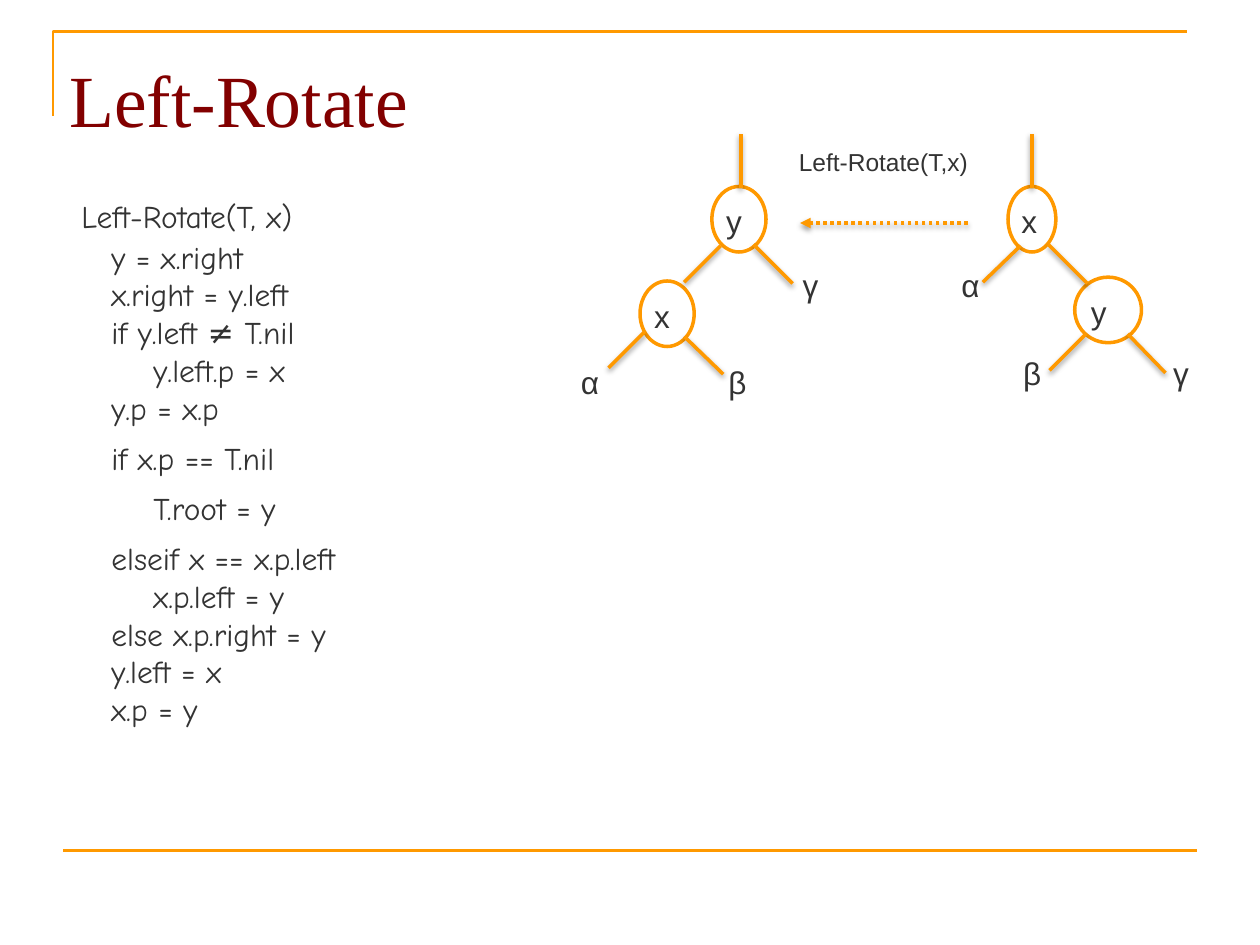
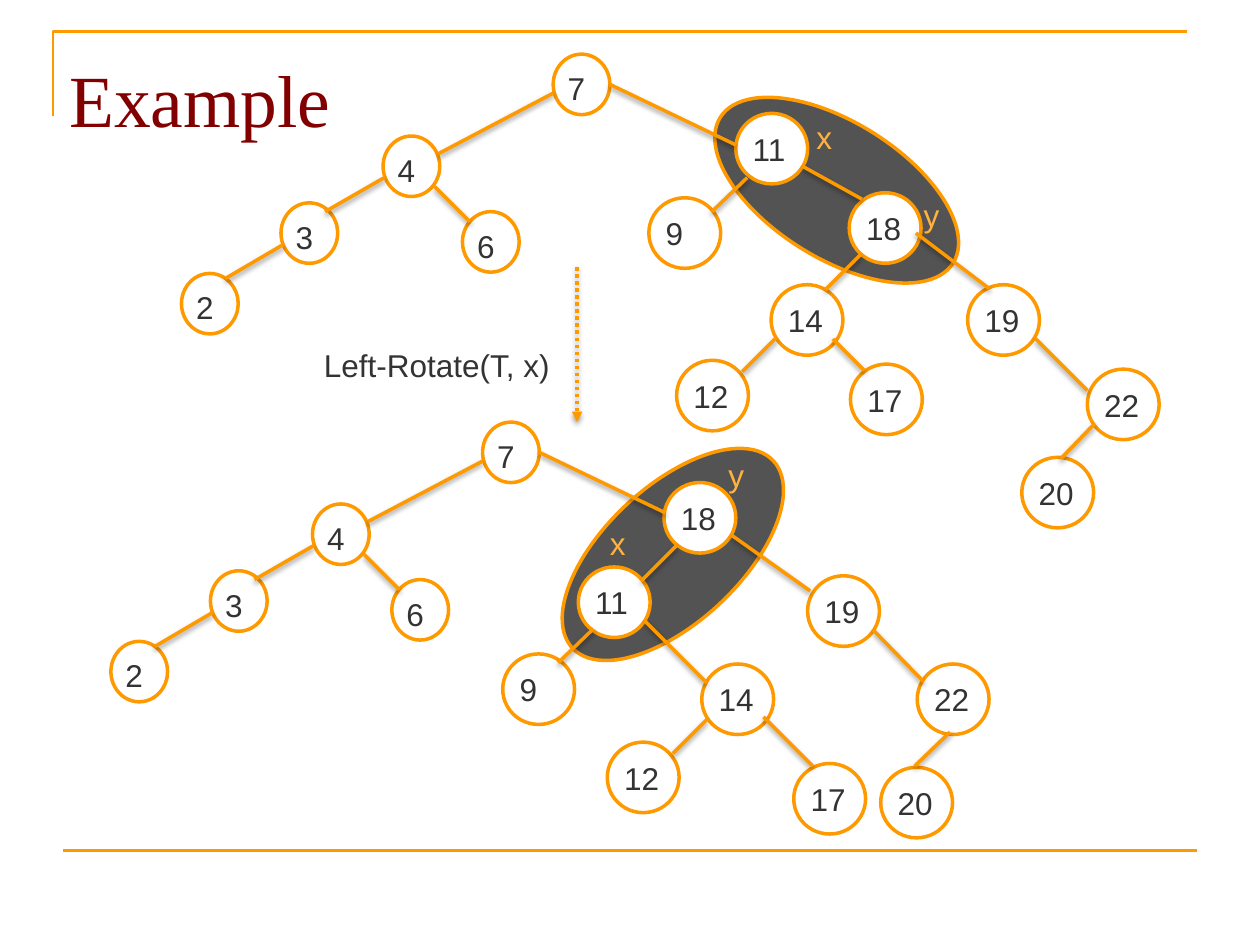
from lxml.etree import SubElement as Sub
from pptx import Presentation
from pptx.dml.color import RGBColor as RGB
from pptx.enum.dml import MSO_LINE as Dash
from pptx.enum.shapes import MSO_CONNECTOR as Conn, MSO_SHAPE as Shape
from pptx.enum.text import MSO_ANCHOR as Anchor, MSO_AUTO_SIZE as Fit, PP_ALIGN as Align
from pptx.oxml.ns import qn
from pptx.util import Cm, Pt

ORANGE, AMBER = "FF9900", "FFB240"
MAROON, INK, SHADE, WHITE = "820000", "333333", "535353", "FFFFFF"
SANS, SERIF, HAND = "Arial", "Times New Roman", "Comic Neue"
SMALL, LARGE = (0.45, 0.48), (0.57, 0.56)  # node sizes on the example slide

CODE = [
    ["Left-Rotate(T, x)", "    y = x.right", "    x.right = y.left",
     "    if y.left ≠ T.nil", "        y.left.p = x", "    y.p = x.p"],
    ["    if x.p == T.nil"],
    ["        T.root = y"],
    ["    elseif x == x.p.left", "        x.p.left = y",
     "    else x.p.right = y", "    y.left = x", "    x.p = y"],
]

# Rotation diagram: label, left, top, width
PAIRS = [("y", 5.65, 1.48, 0.43), ("x", 5.08, 2.23, 0.43),
         ("x", 8, 1.48, 0.38), ("y", 8.53, 2.2, 0.53)]
LINKS = [(5.43, 2.24, 5.72, 1.95), (4.83, 2.92, 5.12, 2.63), (5.98, 1.94, 6.29, 2.25),
         (5.43, 2.67, 5.74, 2.97), (5.88, 1.49, 5.88, 1.06), (8.19, 1.49, 8.19, 1.06),
         (7.8, 2.24, 8.1, 1.95), (8.33, 2.94, 8.62, 2.65), (8.32, 1.94, 8.63, 2.25),
         (8.95, 2.65, 9.25, 2.96)]
GREEK = [("α", 4.56, 2.83), ("β", 5.73, 2.83), ("γ", 6.32, 2.06),
         ("α", 7.58, 2.06), ("β", 8.07, 2.76), ("γ", 9.26, 2.76)]

# Left half of the example tree, the same before and after rotation
LEFT = [("7", 4.39, 0.43), ("4", 3.04, 1.08), ("6", 3.67, 1.68),
        ("3", 2.23, 1.61), ("2", 1.44, 2.17)]
BONDS = [(3.48, 1.22, 4.39, 0.74), (2.58, 1.68, 3.05, 1.41), (1.79, 2.21, 2.25, 1.94),
         (3.73, 1.76, 3.45, 1.48), (4.84, 0.67, 5.84, 1.15)]
SHIFT = (-0.56, 2.92)

# Right half, before and after
BEFORE = [("11", 5.84, 0.9), ("9", 5.15, 1.57), ("18", 6.74, 1.53), ("14", 6.12, 2.26),
          ("12", 5.37, 2.86), ("17", 6.75, 2.89), ("19", 7.68, 2.26), ("22", 8.63, 2.93),
          ("20", 8.11, 3.63)]
OLD = [(6.37, 1.32, 6.84, 1.58), (7.27, 1.85, 7.85, 2.29), (8.22, 2.69, 8.63, 3.1),
       (6.61, 2.69, 6.86, 2.94), (5.65, 1.68, 5.93, 1.41), (5.89, 2.95, 6.16, 2.68),
       (8.42, 3.64, 8.69, 3.36), (6.55, 2.3, 6.83, 2.02)]
AFTER = [("18", 5.27, 3.83), ("11", 4.59, 4.5), ("14", 5.57, 5.27), ("12", 4.82, 5.89),
         ("17", 6.3, 6.06), ("19", 6.41, 4.57), ("22", 7.28, 5.27), ("20", 6.99, 6.09),
         ("9", 3.99, 5.19)]
NEW = [(5.81, 4.25, 6.43, 4.69), (6.93, 5, 7.33, 5.41), (6.06, 5.69, 6.45, 6.08),
       (5.09, 4.61, 5.37, 4.33), (5.34, 5.98, 5.61, 5.71), (7.26, 6.08, 7.54, 5.81),
       (4.43, 5.26, 4.71, 4.99), (5.61, 5.42, 5.12, 4.93)]
MARKS = [("x", 6.43, 0.89), ("y", 7.28, 1.51), ("x", 4.79, 4.11), ("y", 5.73, 3.57)]


def dist(*sizes):
    """Turn layout units (2.54 cm each) into lengths."""
    return [Cm(2.54 * size) for size in sizes]


def tint(color):
    return RGB.from_string(color)


def paint(line, width=2):
    line.color.rgb = tint(ORANGE)
    line.width = Pt(width)


def write(para, text, size=18, font=SANS, color=INK):
    para.alignment = Align.LEFT
    run = para.add_run()
    run.text = text
    run.font.size, run.font.name = Pt(size), font
    run.font.color.rgb = tint(color)


def inset(frame, top=0.05):
    frame.margin_left, frame.margin_right, frame.margin_bottom = dist(0.05, 0.05, 0.05)
    frame.margin_top, = dist(top)
    frame.vertical_anchor = Anchor.TOP


def start(deck, text):
    """New slide with the shared rules and title."""
    slide = deck.slides.add_slide(deck.slide_layouts[5])
    # Corner rule
    pen = slide.shapes.build_freeform(*dist(0.42, 0.92))
    pen.add_line_segments([dist(0.42, 0.25), dist(9.42, 0.25)], close=False)
    rule = pen.convert_to_shape()
    rule.fill.background()
    rule.shadow.inherit = False
    paint(rule.line, 1.5)
    # Bottom rule
    join(slide, (0.5, 6.75, 9.5, 6.75), 1.5, shade=False)
    # Title
    title = slide.shapes.title
    title.left, title.top, title.width, title.height = dist(0.5, 0.3, 9, 1.03)
    frame = title.text_frame
    frame.auto_size = Fit.NONE
    inset(frame, 0.13)
    write(frame.paragraphs[0], text, 42, SERIF, MAROON)
    return slide


def oval(slide, box, fill, turn=0):
    shape = slide.shapes.add_shape(Shape.OVAL, *dist(*box))
    shape.shadow.inherit = False
    shape.fill.solid()
    shape.fill.fore_color.rgb = tint(fill)
    shape.rotation = turn
    paint(shape.line)
    return shape


def node(slide, text, left, top, size):
    frame = oval(slide, (left, top, *size), WHITE).text_frame
    inset(frame)
    write(frame.paragraphs[0], text)


def join(slide, ends, width=2, shade=True):
    """Straight line, with a soft shadow below it if wanted."""
    link = slide.shapes.add_connector(Conn.STRAIGHT, *dist(*ends))
    paint(link.line, width)
    props = link.element.spPr
    glow = Sub(props, qn("a:effectLst"))
    if shade:
        drop = Sub(glow, qn("a:outerShdw"), blurRad=str(Pt(3)), dist=str(Pt(1.6)),
                   dir="5400000", rotWithShape="0")
        black = Sub(drop, qn("a:srgbClr"), val="000000")
        Sub(black, qn("a:alpha"), val="38000")
    return link


def arrow(slide, ends):
    link = join(slide, ends)
    link.line.dash_style = Dash.ROUND_DOT
    Sub(link.line._get_or_add_ln(), qn("a:tailEnd"), type="triangle")


def label(slide, text, left, top, width=0.25, height=0.38, size=18, color=INK, wrap=False):
    box = slide.shapes.add_textbox(*dist(left, top, width, height))
    frame = box.text_frame
    inset(frame)
    frame.word_wrap = wrap
    frame.auto_size = Fit.SHAPE_TO_FIT_TEXT
    write(frame.paragraphs[0], text, size, color=color)


def listing(slide, blocks):
    """Code: one paragraph per block, line breaks inside."""
    frame = slide.shapes.add_textbox(*dist(0.5, 1.42, 9, 5.2)).text_frame
    inset(frame)
    frame.word_wrap = True
    for i, block in enumerate(blocks):
        para = frame.add_paragraph() if i else frame.paragraphs[0]
        if i:
            para.space_before = Pt(7)
        else:
            write(para, " ", 25)
        for j, text in enumerate(block):
            if j:
                para.add_line_break()
            write(para, text, font=HAND)


def tree(slide, nodes, links, size, shift=(0, 0)):
    dx, dy = shift
    for text, left, top in nodes:
        node(slide, text, left + dx, top + dy, size)
    for x1, y1, x2, y2 in links:
        join(slide, (x1 + dx, y1 + dy, x2 + dx, y2 + dy))


def rotate(deck):
    slide = start(deck, "Left-Rotate")
    listing(slide, CODE)
    for text, left, top, width in PAIRS:
        node(slide, text, left, top, (width, 0.52))
    for ends in LINKS:
        join(slide, ends)
    for item in GREEK:
        label(slide, *item)
    arrow(slide, (7.68, 1.77, 6.35, 1.77))
    label(slide, "Left-Rotate(T,x)", 6.29, 1.12, 1.5, 0.32, 14, wrap=True)


def sample(deck):
    slide = start(deck, "Example")
    # Rotated pairs
    oval(slide, (4.25, 3.86, 2.18, 1.08), SHADE, 137)
    oval(slide, (5.55, 0.97, 2.18, 1.08), SHADE, 32)
    # Trees before and after
    tree(slide, LEFT, [], SMALL)
    tree(slide, BEFORE, BONDS + OLD, LARGE)
    tree(slide, LEFT, [], SMALL, SHIFT)
    tree(slide, AFTER, NEW, LARGE)
    tree(slide, [], BONDS, SMALL, SHIFT)
    for item in MARKS:
        label(slide, *item, color=AMBER)
    # Step between them
    arrow(slide, (4.58, 2.12, 4.58, 3.35))
    label(slide, "Left-Rotate(T, x)", 2.52, 2.7, 1.91)


def main():
    deck = Presentation()
    deck.slide_width, deck.slide_height = dist(10, 7.5)
    rotate(deck)
    sample(deck)
    deck.save("out.pptx")


if __name__ == "__main__":
    main()
